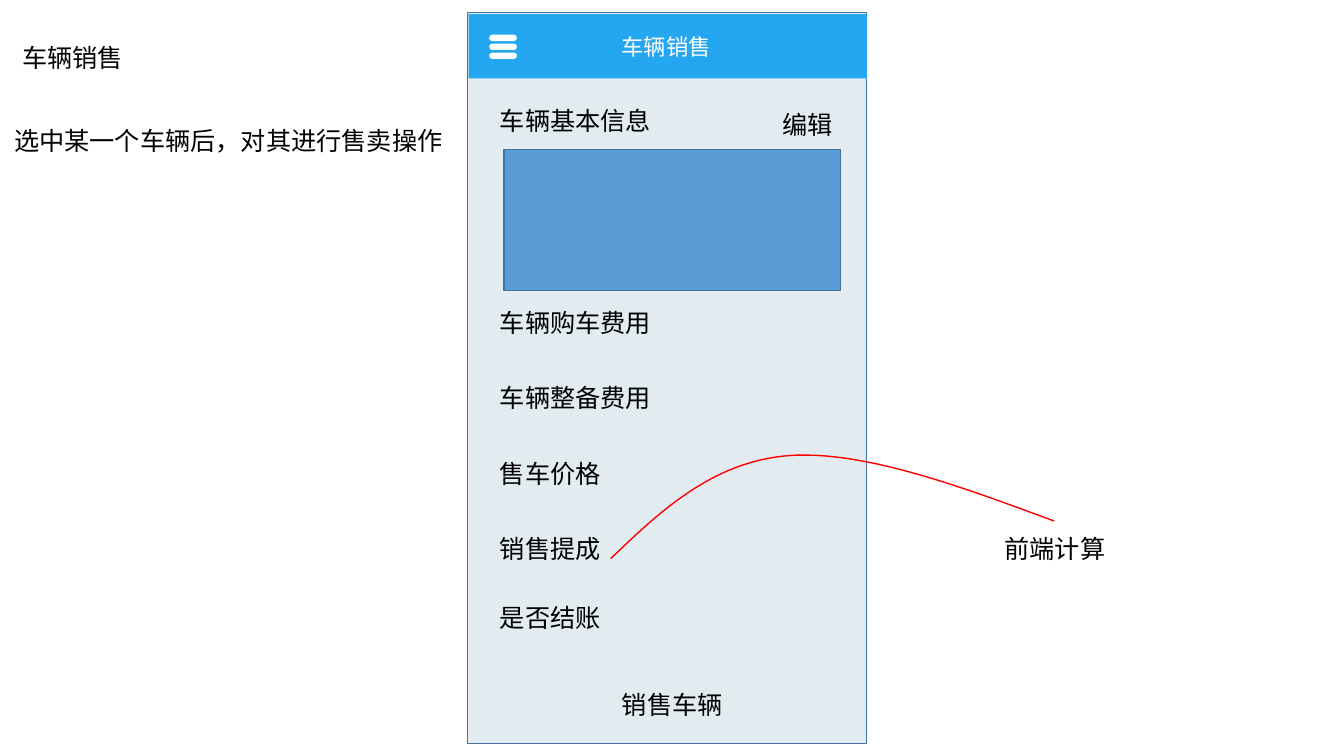
from lxml import etree
from pptx import Presentation
from pptx import util as u
from pptx.dml.color import RGBColor
from pptx.enum import shapes, text
from pptx.oxml import ns

Pt = u.Pt
FONT = "Noto Sans CJK SC"
COLORS = {
    "screen": "E2ECF0",
    "header": "24A6F1",
    "panel": "5B9BD5",
    "border": "43739E",
    "white": "FFFFFF",
    "black": "000000",
    "callout": "FF0000",
}
LABEL_LEFT, LABEL_WIDTH, LABEL_HEIGHT = 350, 149, 28.8
FEE_TOP, FEE_PITCH = 216, 53.75


def color(name):
    return RGBColor.from_string(COLORS[name])


def add_box(slide, left, top, width, height, fill, border=None, rounded=False):
    kind = shapes.MSO_SHAPE.ROUNDED_RECTANGLE if rounded else shapes.MSO_SHAPE.RECTANGLE
    box = slide.shapes.add_shape(kind, Pt(left), Pt(top), Pt(width), Pt(height))
    box.shadow.inherit = False
    box.fill.solid()
    box.fill.fore_color.rgb = color(fill)
    if border:
        box.line.color.rgb = color(border)
        box.line.width = Pt(1)
    else:
        box.line.fill.background()
    if rounded:
        box.adjustments[0] = 0.5


def write(label, wording, size=18, ink="black", align=text.PP_ALIGN.LEFT):
    """Fill a text box or placeholder with one formatted line."""
    frame = label.text_frame
    frame.text = wording
    frame.word_wrap = True
    frame.auto_size = text.MSO_AUTO_SIZE.SHAPE_TO_FIT_TEXT
    frame.vertical_anchor = text.MSO_ANCHOR.TOP
    line = frame.paragraphs[0]
    line.alignment = align
    line.line_spacing = 1.0
    run = line.runs[0]
    run.font.size = Pt(size)
    run.font.color.rgb = color(ink)
    run.font.name = FONT
    east_asian = etree.SubElement(run._r.get_or_add_rPr(), ns.qn("a:ea"))
    east_asian.set("typeface", FONT)


def add_label(slide, wording, left, top, width, height=LABEL_HEIGHT, **style):
    label = slide.shapes.add_textbox(Pt(left), Pt(top), Pt(width), Pt(height))
    write(label, wording, **style)


def set_title(slide, wording, left, top, width):
    title = slide.shapes.title
    title.left, title.top = Pt(left), Pt(top)
    title.width, title.height = Pt(width), Pt(LABEL_HEIGHT)
    write(title, wording)


def bezier_points(start, control1, control2, end, steps=24):
    """Points along a cubic curve, without its start."""
    for step in range(1, steps + 1):
        t = step / steps
        weights = ((1 - t) ** 3, 3 * t * (1 - t) ** 2, 3 * t ** 2 * (1 - t), t ** 3)
        yield tuple(
            Pt(sum(w * value for w, value in zip(weights, axis)))
            for axis in zip(start, control1, control2, end)
        )


def add_curve(slide, start, *segments):
    builder = slide.shapes.build_freeform(Pt(start[0]), Pt(start[1]))
    for segment in segments:
        builder.add_line_segments(bezier_points(start, *segment), close=False)
        start = segment[-1]
    curve = builder.convert_to_shape()
    curve.shadow.inherit = False
    curve.fill.background()
    curve.line.color.rgb = color("callout")
    curve.line.width = Pt(1)


def add_phone(slide):
    add_box(slide, 334, 9, 285, 522, "screen", "border")
    add_box(slide, 334.8, 10, 284.4, 46, "header")
    for bar in range(3):
        add_box(slide, 350, 25.2 + 6.4 * bar, 18.7, 3.6, "white", "white", rounded=True)
    add_label(slide, "车辆销售", 424, 20, 103.7, 26.6,
              size=16, ink="white", align=text.PP_ALIGN.CENTER)


def add_form(slide):
    add_label(slide, "车辆基本信息", LABEL_LEFT, 71.5, LABEL_WIDTH)
    add_label(slide, "编辑", 552, 74.3, 55.5)
    add_box(slide, 360, 106.6, 240.5, 100.8, "panel", "border")
    for row, fee in enumerate(("车辆购车费用", "车辆整备费用", "售车价格", "销售提成")):
        add_label(slide, fee, LABEL_LEFT, FEE_TOP + FEE_PITCH * row, LABEL_WIDTH)
    add_label(slide, "是否结账", LABEL_LEFT, 427, LABEL_WIDTH)
    add_label(slide, "销售车辆", 360, 489, 240.5, align=text.PP_ALIGN.CENTER)


def main():
    deck = Presentation()
    deck.slide_width, deck.slide_height = Pt(960), Pt(540)
    slide = deck.slides.add_slide(deck.slide_layouts[5])
    set_title(slide, "车辆销售", 8.8, 26.6, 106.6)
    add_label(slide, "选中某一个车辆后，对其进行售卖操作", 3, 85.7, 328.5)
    add_phone(slide)
    add_form(slide)
    add_label(slide, "前端计算", 710.5, FEE_TOP + FEE_PITCH * 3, 130)
    add_curve(
        slide, (753, 372.2),
        ((683.3, 346.3), (614.2, 321.1), (561.6, 325.6)),
        ((509, 330.5), (472.3, 364.3), (436.3, 399)),
    )
    deck.save("out.pptx")


if __name__ == "__main__":
    main()
